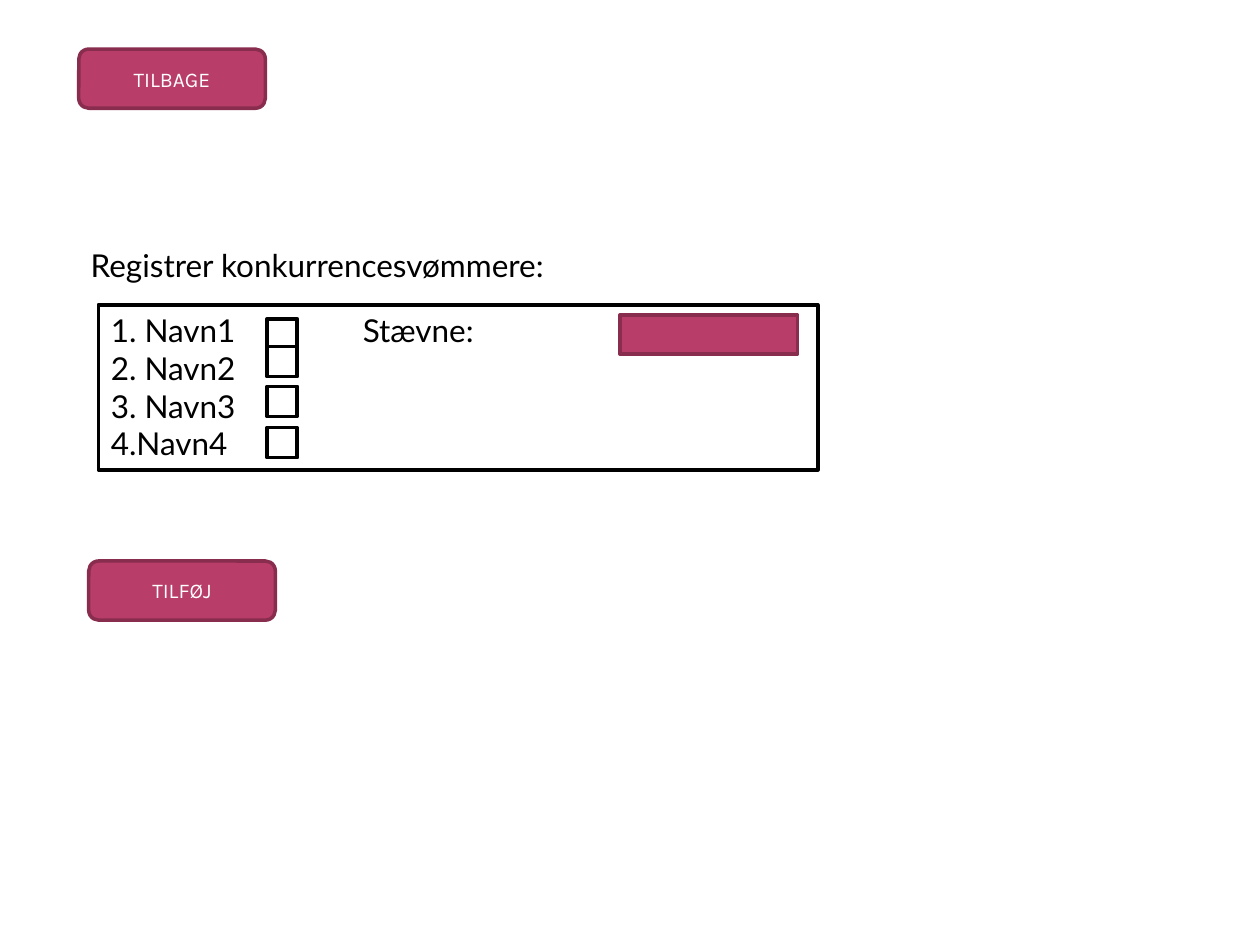
from lxml import etree
from pptx import Presentation
from pptx.dml.color import RGBColor
from pptx.enum import shapes, text
from pptx.oxml.ns import qn
from pptx.util import Pt

BLACK = RGBColor(0x00, 0x00, 0x00)
WHITE = RGBColor(0xFF, 0xFF, 0xFF)
PINK = RGBColor(0xB8, 0x3D, 0x68)
PLUM = RGBColor(0x88, 0x2D, 0x4D)

RECT = shapes.MSO_SHAPE.RECTANGLE
ROUNDED = shapes.MSO_SHAPE.ROUNDED_RECTANGLE

HEADING = "Registrer konkurrencesvømmere:"
SWIMMERS = ["1. Navn1\t\tStævne: ", "2. Navn2", "3. Navn3", "4.Navn4"]
TAB_STOPS = [72, 144]
CHECKBOX_TOPS = [182.2, 198, 220.8, 244.3]
BUTTONS = [("TILBAGE", 45, 28.1), ("TILFØJ", 50.7, 320.6)]

BODY = {"name": "Lato", "size": Pt(18), "color": BLACK}
LABEL = {"name": "Karla", "size": Pt(12), "color": WHITE}
LEFT_TOP = (text.PP_ALIGN.LEFT, text.MSO_ANCHOR.TOP)
CENTRED = (text.PP_ALIGN.CENTER, text.MSO_ANCHOR.MIDDLE)


def place(item, left, top, width, height):
    frame = dict(left=left, top=top, width=width, height=height)
    for name, value in frame.items():
        setattr(item, name, Pt(value))


def write(item, lines, font, layout):
    align, anchor = layout
    frame = item.text_frame
    frame.word_wrap = True
    frame.auto_size = text.MSO_AUTO_SIZE.NONE
    frame.vertical_anchor = anchor
    for index, line in enumerate(lines):
        para = frame.add_paragraph() if index else frame.paragraphs[0]
        para.alignment = align
        span = para.add_run()
        span.text = line
        for name, value in font.items():
            if name == "color":
                span.font.color.rgb = value
            else:
                setattr(span.font, name, value)


def set_tabs(para, stops):
    tabs = etree.SubElement(para._p.get_or_add_pPr(), qn("a:tabLst"))
    for stop in stops:
        etree.SubElement(tabs, qn("a:tab"), pos=str(Pt(stop)), algn="l")


def add_box(page, kind, bounds, fill, line):
    box = page.shapes.add_shape(kind, *map(Pt, bounds))
    box.shadow.inherit = False
    box.fill.solid()
    box.fill.fore_color.rgb = fill
    box.line.color.rgb = line
    box.line.width = Pt(2)
    return box


deck = Presentation()
deck.slide_width, deck.slide_height = Pt(720), Pt(540)
page = deck.slides.add_slide(deck.slide_layouts.get_by_name("Title Only"))

heading = page.shapes.title
place(heading, 44.6, 136.8, 453.6, 72.7)
write(heading, [HEADING], BODY, LEFT_TOP)

roster = add_box(page, RECT, (56.2, 174.2, 411.1, 94.3), WHITE, BLACK)
write(roster, SWIMMERS, BODY, LEFT_TOP)
set_tabs(roster.text_frame.paragraphs[0], TAB_STOPS)

for top in CHECKBOX_TOPS:
    add_box(page, RECT, (152.6, top, 17.3, 17.3), WHITE, BLACK)

add_box(page, RECT, (354.2, 180, 101.5, 22.3), PINK, PLUM)

for label, left, top in BUTTONS:
    button = add_box(page, ROUNDED, (left, top, 106.6, 33.8), PINK, PLUM)
    write(button, [label], LABEL, CENTRED)

deck.save("out.pptx")
